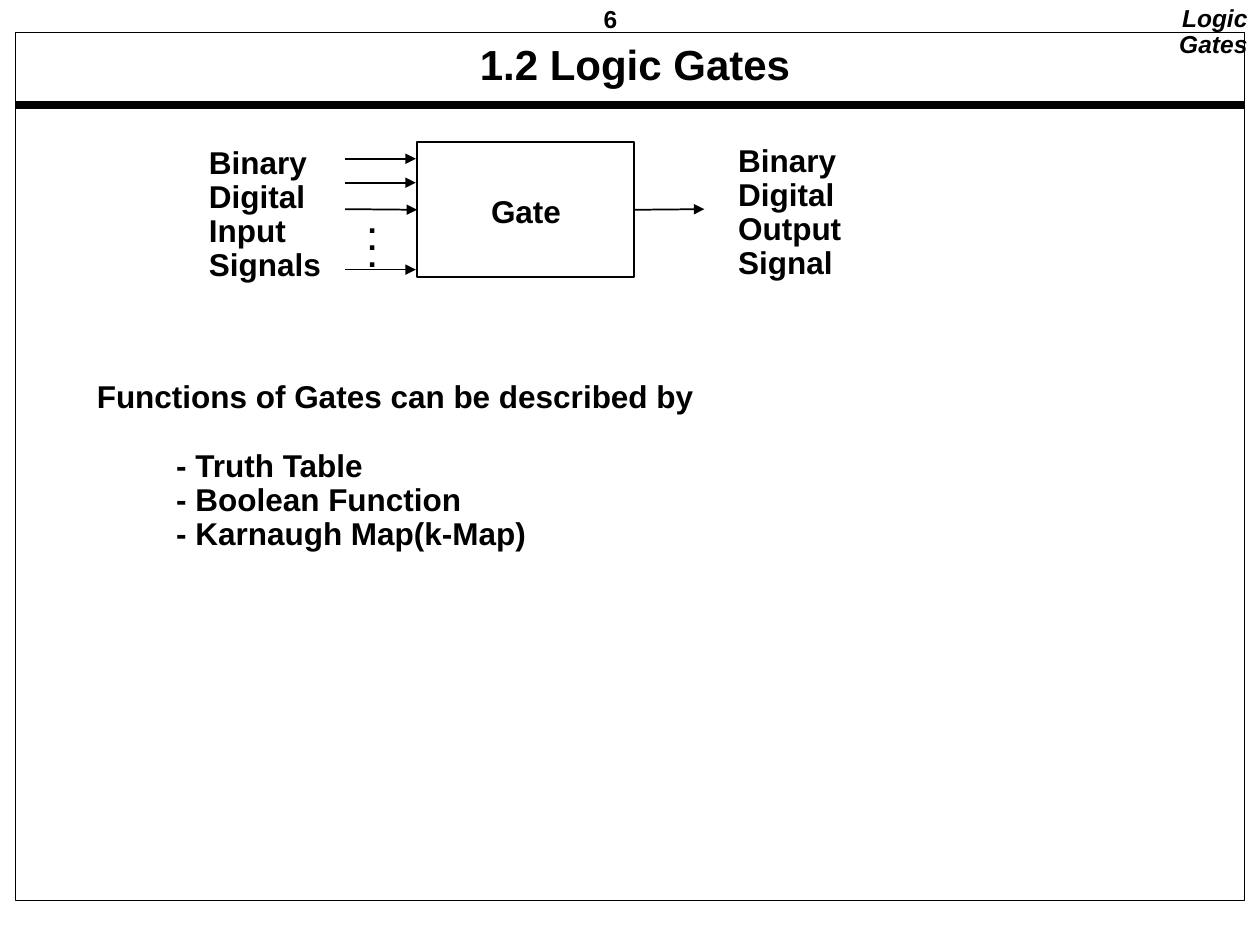
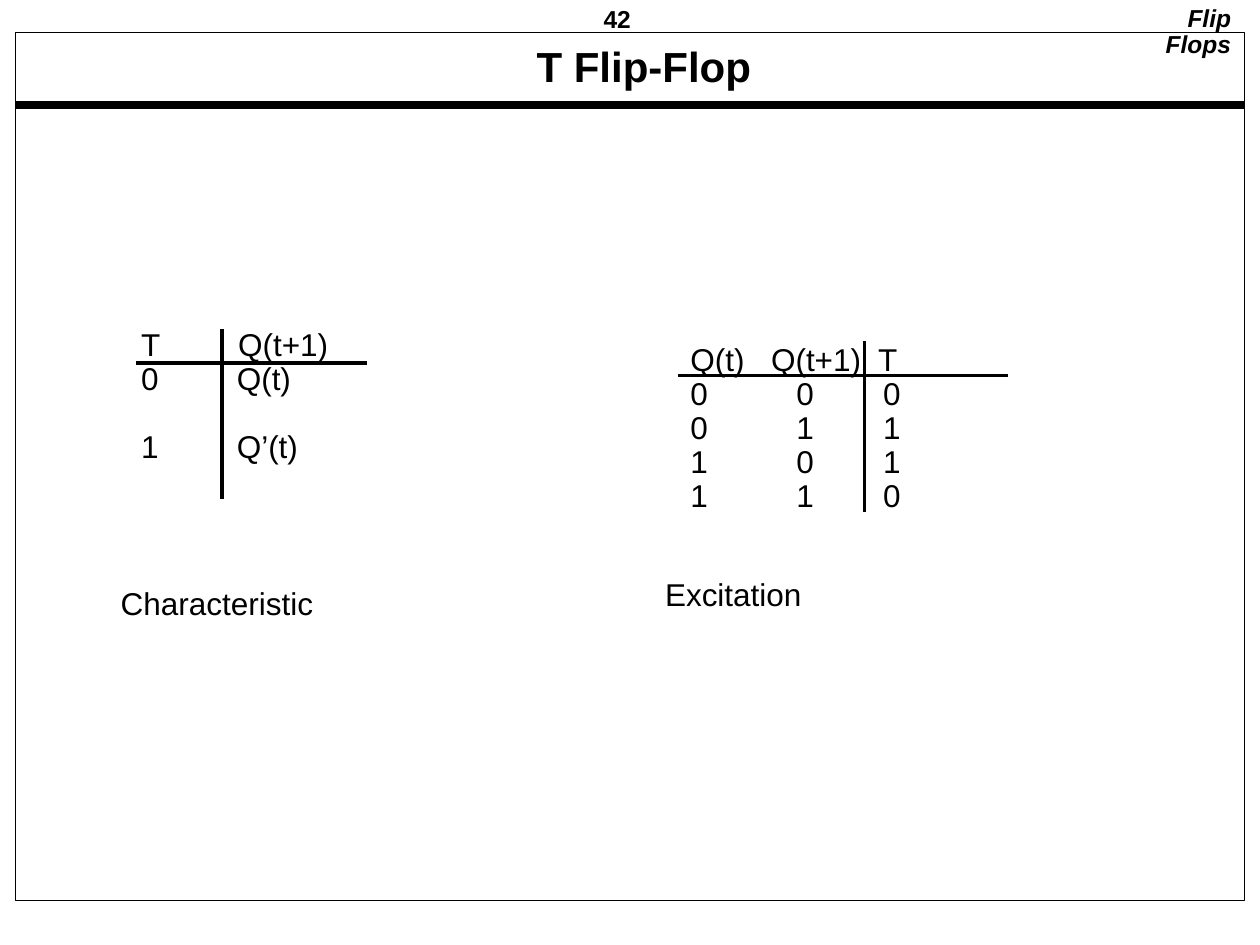
from dataclasses import dataclass

from lxml import etree
from pptx import Presentation
from pptx.dml.color import RGBColor
from pptx.enum.shapes import MSO_CONNECTOR, MSO_SHAPE
from pptx.enum.text import MSO_ANCHOR, MSO_AUTO_SIZE, PP_ALIGN
from pptx.oxml.ns import qn
from pptx.util import Inches, Pt

LINE, RECT = MSO_CONNECTOR.STRAIGHT, MSO_SHAPE.RECTANGLE
LEFT, CENTER, RIGHT = PP_ALIGN.LEFT, PP_ALIGN.CENTER, PP_ALIGN.RIGHT
TOP = MSO_ANCHOR.TOP
NO_FIT = MSO_AUTO_SIZE.NONE

COLORS = {"ink": "000000"}
INK = RGBColor.from_string(COLORS["ink"])
FONT = "Arial"
TITLE_ONLY = 5
PLAIN_STYLE = "{2D5ABB26-0587-4C30-8999-92F81FD0307C}"
ROW = 0.27  # height of one 18 pt text line


@dataclass
class Page:
    title: str
    number: str
    topic: str
    topic_right: float
    title_box: tuple


@dataclass
class Column:
    width: float
    head_pad: float
    body_pad: float


@dataclass
class Truth:
    left: float
    top: float
    drop: float  # from the top of the upright rule down to the text
    columns: list
    rows: list
    row_height: float
    caption: str
    caption_at: tuple


def write(frame, text, size=18, bold=False, italic=False, align=LEFT,
          spacing=0.9, pad=(0.1, 0.05), wrap=False):
    """Fill a text frame, one paragraph per line of text."""
    frame.auto_size = NO_FIT
    frame.word_wrap = wrap
    frame.vertical_anchor = TOP
    frame.margin_left = frame.margin_right = Inches(pad[0])
    frame.margin_top = frame.margin_bottom = Inches(pad[1])
    for i, line in enumerate(text.split("\n")):
        para = frame.paragraphs[0] if i == 0 else frame.add_paragraph()
        para.alignment, para.line_spacing = align, spacing
        run = para.add_run()
        run.text = line
        font = run.font
        font.name, font.size, font.bold, font.italic = FONT, Pt(size), bold, italic
        font.color.rgb = INK


def put(slide, text, left, top, width, height, **style):
    box = slide.shapes.add_textbox(*map(Inches, (left, top, width, height)))
    write(box.text_frame, text, **style)
    return box


def box(slide, left, top, width, height, weight):
    shape = slide.shapes.add_shape(RECT, *map(Inches, (left, top, width, height)))
    shape.shadow.inherit = False
    shape.fill.background()
    shape.line.color.rgb, shape.line.width = INK, Pt(weight)
    return shape


def line(slide, x1, y1, x2, y2, weight, arrow=False):
    link = slide.shapes.add_connector(LINE, *map(Inches, (x1, y1, x2, y2)))
    link.line.color.rgb, link.line.width = INK, Pt(weight)
    if arrow:
        etree.SubElement(link.line._get_or_add_ln(), qn("a:tailEnd"), type="triangle")
    etree.SubElement(link._element.spPr, qn("a:effectLst"))
    return link


def start(deck, page):
    """Add a slide with the shared frame, rule, number, topic and title."""
    slide = deck.slides.add_slide(deck.slide_layouts[TITLE_ONLY])
    title = slide.shapes.title
    title.left, title.top, title.width, title.height = map(Inches, page.title_box)
    write(title.text_frame, page.title, size=24, bold=True, align=CENTER,
          pad=(0.07, 0.03), wrap=True)
    put(slide, page.number, 4.72, 0, 0.38, 0.29, size=14, bold=True,
        spacing=1.0, pad=(0.07, 0.03))
    line(slide, 0.12, 0.83, 9.88, 0.83, 4.5)
    box(slide, 0.12, 0.26, 9.76, 6.89, 0.5)
    put(slide, page.topic, page.topic_right - 0.8, 0, 0.8, 0.5, size=14,
        bold=True, italic=True, align=RIGHT, wrap=True)
    return slide


def gates(deck):
    slide = start(deck, Page("1.2 Logic Gates", "6", "Logic Gates", 10,
                             (0.55, 0.32, 8.98, 0.42)))
    gate = box(slide, 3.31, 1.13, 1.72, 1.07, 1)
    put(slide, "Gate", 3.8, 1.51, 0.75, 0.37, bold=True, align=CENTER)
    mid = 1.66
    for y in (1.26, 1.45, mid, 2.14):
        wire = line(slide, 2.74, y, 3.3, y, 1, arrow=True)
        if y == mid:
            wire.end_connect(gate, 1)
    out = line(slide, 5.03, mid, 5.59, mid, 1, arrow=True)
    out.begin_connect(gate, 3)

    put(slide, ".\n.\n.", 2.92, 1.77, 0.1, 0.42, bold=True,
        spacing=Pt(9.7), pad=(0, 0))
    put(slide, "Binary\nDigital\nInput\nSignals", 1.56, 1.12, 1.1, 1.19, bold=True)
    put(slide, "Binary\nDigital\nOutput\nSignal", 5.76, 1.1, 1.02, 1.18, bold=True)

    uses = put(slide, "Functions of Gates can be described by\n- Truth Table\n"
               "- Boolean Function\n- Karnaugh Map(k-Map)",
               0.67, 2.98, 4.98, 1.42, bold=True)
    items = uses.text_frame.paragraphs[1:]
    for para in items:
        para._p.get_or_add_pPr().set("marL", str(Inches(0.63)))
    items[0].space_before = Pt(19.5)


def grid(slide, truth):
    """Draw a truth table ruled under its head and before its last column."""
    count, last = len(truth.rows), len(truth.columns) - 1
    height = ROW + truth.row_height * (count - 1)
    width = sum(col.width for col in truth.columns)
    table = slide.shapes.add_table(
        count, last + 1, *map(Inches, (truth.left, truth.top, width, height))).table
    table.first_row = table.horz_banding = False
    table._tbl.tblPr.find(qn("a:tableStyleId")).text = PLAIN_STYLE
    for c, col in enumerate(truth.columns):
        table.columns[c].width = Inches(col.width)
    for r, row in enumerate(truth.rows):
        table.rows[r].height = Inches(truth.row_height if r else ROW)
        for c, (text, col) in enumerate(zip(row, truth.columns)):
            cell = table.cell(r, c)
            write(cell.text_frame, text)
            cell.margin_left = Inches(col.body_pad if r else col.head_pad)
            cell.margin_right = cell.margin_top = cell.margin_bottom = 0
            cell.vertical_anchor = TOP
            cell.fill.background()
    peak, right = truth.top - truth.drop, truth.left + width
    stem = right - truth.columns[last].width
    line(slide, truth.left, peak + ROW, right, peak + ROW, 2)
    line(slide, stem, peak, stem, peak + height, 2)
    put(slide, truth.caption, *truth.caption_at, 2.1, 0.37)


def flops(deck):
    slide = start(deck, Page("T Flip-Flop", "42", "Flip Flops", 9.87,
                             (0.45, 0.34, 9.32, 0.42)))
    grid(slide, Truth(
        1.08, 2.63, 0.02,
        [Column(0.68, 0.04, 0.04), Column(1.15, 0.13, 0.12)],
        [("T", "Q(t+1)"), ("0", "Q(t)"), ("1", "Q’(t)")],
        2 * ROW, "Characteristic", (0.86, 4.62)))
    grid(slide, Truth(
        5.38, 2.75, 0.04,
        [Column(0.64, 0.1, 0.1), Column(0.84, 0.1, 0.3), Column(1.14, 0.11, 0.15)],
        [("Q(t)", "Q(t+1)", "T"), *("000", "011", "101", "110")],
        ROW, "Excitation", (5.18, 4.55)))


def main():
    deck = Presentation()
    deck.slide_width, deck.slide_height = Inches(10), Inches(7.5)
    gates(deck)
    flops(deck)
    deck.save("out.pptx")


if __name__ == "__main__":
    main()
